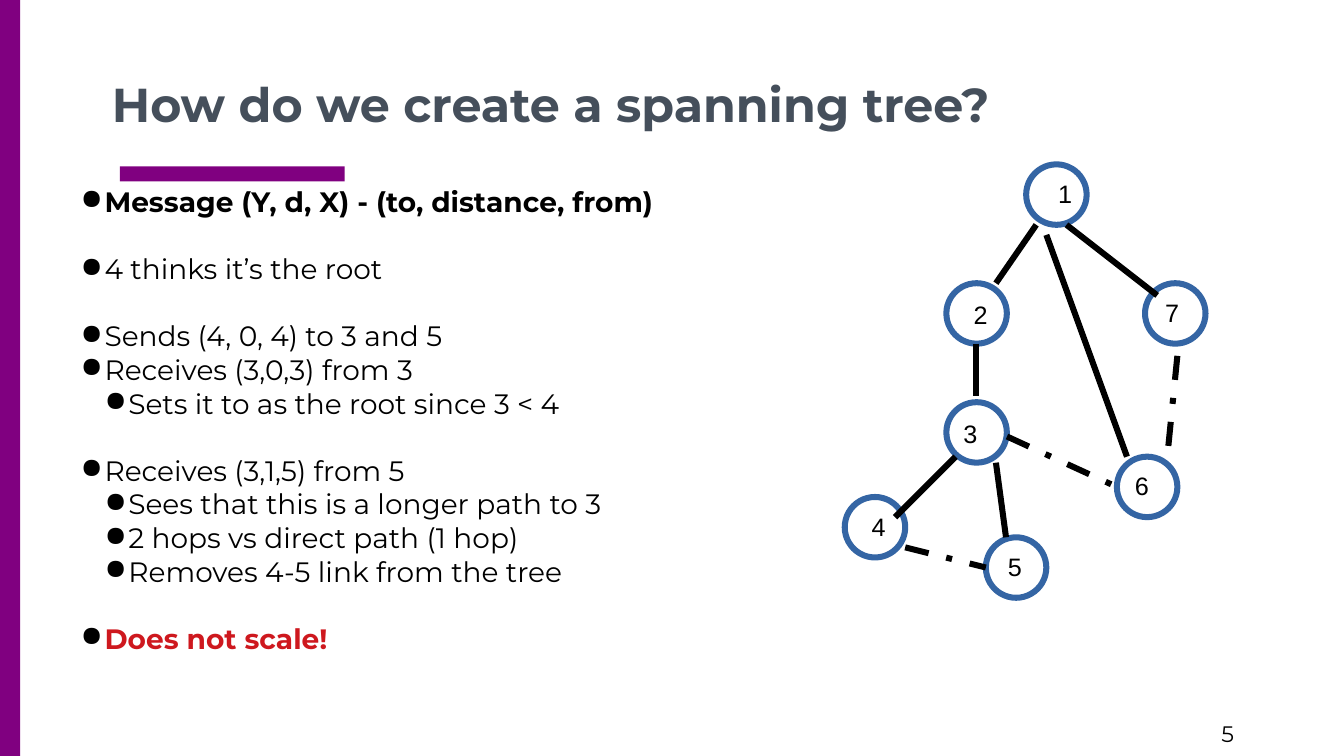
from lxml import etree
from pptx import Presentation
from pptx.dml.color import RGBColor
from pptx.enum.dml import MSO_LINE
from pptx.enum.shapes import MSO_CONNECTOR, MSO_SHAPE
from pptx.enum.text import MSO_ANCHOR, PP_ALIGN
from pptx.oxml.ns import qn
from pptx.util import Pt

RECTANGLE, OVAL = MSO_SHAPE.RECTANGLE, MSO_SHAPE.OVAL
STRAIGHT = MSO_CONNECTOR.STRAIGHT
DASH_DOT = MSO_LINE.DASH_DOT
LEFT, TOP, BOTTOM = PP_ALIGN.LEFT, MSO_ANCHOR.TOP, MSO_ANCHOR.BOTTOM

COLORS = {
    "accent": "800080",
    "title": "454F5B",
    "text": "000000",
    "warning": "CE181E",
    "node": "3465A4",
}
STROKE = Pt(4.31)
LINE_HEIGHT = Pt(24)


def color(name):
    return RGBColor.from_string(COLORS[name])


def add_run(paragraph, text, size, font="Montserrat", bold=False, ink="text"):
    run = paragraph.add_run()
    run.text = text
    run.font.name = font
    run.font.size = Pt(size)
    run.font.bold = bold
    run.font.color.rgb = color(ink)


prs = Presentation()
prs.slide_width, prs.slide_height = Pt(960), Pt(540)
slide = prs.slides.add_slide(prs.slide_layouts[5])
shapes = slide.shapes

# Side band and title underline
for box in [(85.7, 118.8, 160.6, 10.8), (0, 0, 14.4, 540)]:
    band = shapes.add_shape(RECTANGLE, *map(Pt, box))
    band.shadow.inherit = False
    band.fill.solid()
    band.fill.fore_color.rgb = color("accent")
    band.line.fill.background()

# Title
title = shapes.title
title.left, title.top, title.width, title.height = Pt(72.7), Pt(0), Pt(814.3), Pt(101.5)
heading = title.text_frame
heading.word_wrap = True
heading.vertical_anchor = BOTTOM
heading.margin_left = heading.margin_right = Pt(7.2)
heading.margin_top = heading.margin_bottom = Pt(7.2)
heading.paragraphs[0].alignment = LEFT
add_run(heading.paragraphs[0], "How do we create a spanning tree?", 34, bold=True, ink="title")

# Page number
page_number = shapes.add_textbox(Pt(865.4), Pt(511.2), Pt(93.6), Pt(28.8))
add_run(page_number.text_frame.paragraphs[0], "5", 16)

# Steps: text, indent level, gap below, bold, ink
steps = [
    ("Message (Y, d, X) - (to, distance, from)", 0, True, True, "text"),
    ("4 thinks it’s the root", 0, True, False, "text"),
    ("Sends (4, 0, 4) to 3 and 5", 0, False, False, "text"),
    ("Receives (3,0,3) from 3", 0, False, False, "text"),
    ("Sets it to as the root since 3 < 4", 1, True, False, "text"),
    ("Receives (3,1,5) from 5", 0, False, False, "text"),
    ("Sees that this is a longer path to 3", 1, False, False, "text"),
    ("2 hops vs direct path (1 hop)", 1, False, False, "text"),
    ("Removes 4-5 link from the tree", 1, True, False, "text"),
    ("Does not scale!", 0, False, True, "warning"),
]
body = shapes.add_textbox(Pt(16.6), Pt(128.2), Pt(890.6), Pt(398.9)).text_frame
body.word_wrap = True
body.vertical_anchor = TOP
for index, (text, level, gap_below, bold, ink) in enumerate(steps):
    step = body.add_paragraph() if index else body.paragraphs[0]
    step.level = level
    step.line_spacing = LINE_HEIGHT
    step.space_after = LINE_HEIGHT if gap_below else Pt(0)
    properties = step._p.get_or_add_pPr()
    properties.set("marL", str(Pt(51 + 17 * level)))
    properties.set("indent", str(Pt(-17)))
    bullet_color = etree.SubElement(properties, qn("a:buClr"))
    etree.SubElement(bullet_color, qn("a:srgbClr"), val=COLORS["text"])
    etree.SubElement(properties, qn("a:buChar"), char="●")
    add_run(step, text, 20, bold=bold, ink=ink)

# Nodes: number, circle corner, offset of the number inside the circle
nodes = [
    ("1", 733, 117.4, 15.8, 6.4),
    ("2", 676, 202.3, 12.3, 7.9),
    ("3", 676, 287.3, 5.1, 7.9),
    ("4", 603.4, 355, 12.2, 6.4),
    ("5", 704.2, 383.8, 8.6, 6.4),
    ("6", 797.8, 326.2, 5.7, 6.4),
    ("7", 817.9, 202.3, 7.2, 6.4),
]
for number, x, y, dx, dy in nodes:
    node = shapes.add_shape(OVAL, Pt(x), Pt(y), Pt(43.2), Pt(43.2))
    node.shadow.inherit = False
    node.fill.background()
    node.line.color.rgb = color("node")
    node.line.width = STROKE
    label = shapes.add_textbox(Pt(x + dx), Pt(y + dy), Pt(24.5), Pt(27.4))
    add_run(label.text_frame.paragraphs[0], number, 18, font="Arial")

# Links: start, end, whether the link is left out of the tree
links = [
    (740.2, 160.6, 711.4, 202.3, False),
    (761.8, 160.6, 826.6, 211, False),
    (747.4, 167.8, 805, 326.2, False),
    (697, 245.5, 697, 283, False),
    (682.6, 326.2, 639.4, 369.4, False),
    (711.4, 330.5, 718.6, 383.8, False),
    (719.3, 311.8, 797.8, 347.8, True),
    (841, 254.2, 833.8, 326.2, True),
    (646.6, 391, 704.2, 405.4, True),
]
for *ends, removed in links:
    link = shapes.add_connector(STRAIGHT, *map(Pt, ends))
    link.line.color.rgb = color("text")
    link.line.width = STROKE
    if removed:
        link.line.dash_style = DASH_DOT
    etree.SubElement(link._element.spPr, qn("a:effectLst"))

prs.save("out.pptx")
